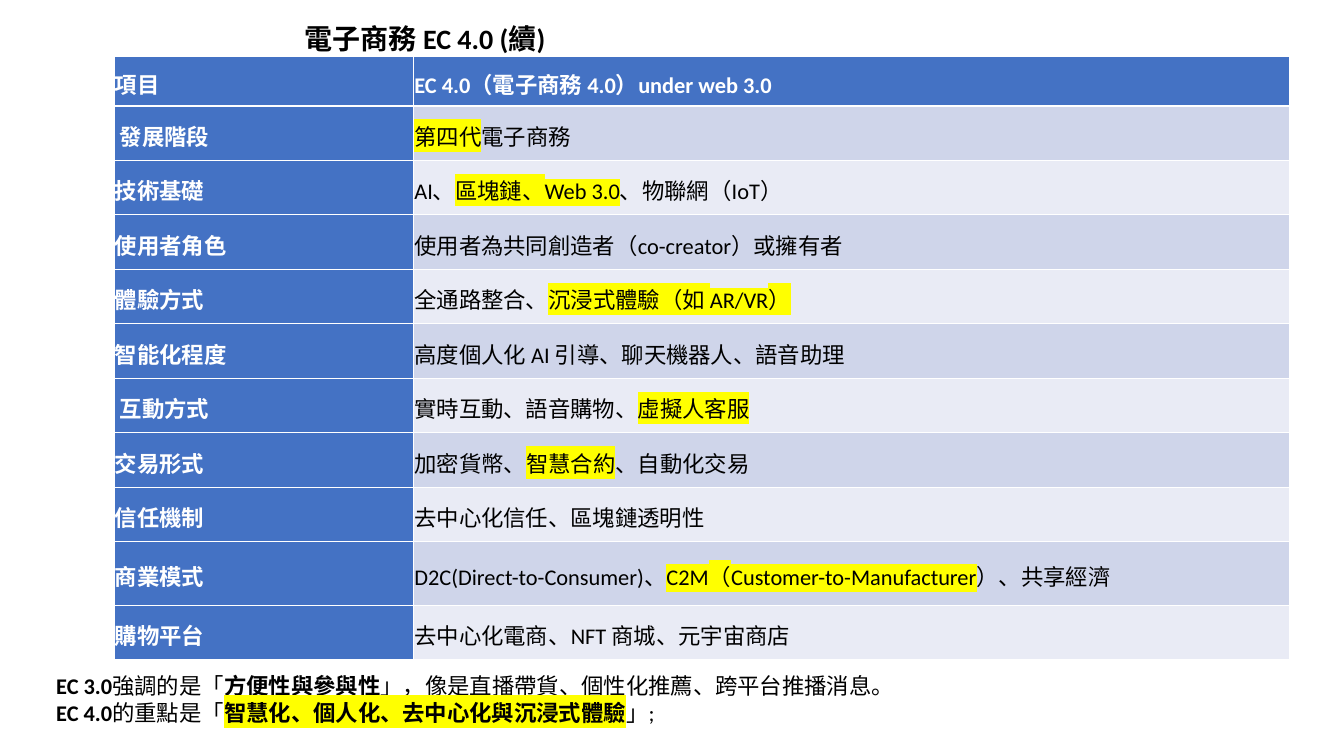
from lxml import etree
from pptx import Presentation
from pptx.dml.color import RGBColor
from pptx.enum.text import MSO_ANCHOR, MSO_AUTO_SIZE, PP_ALIGN
from pptx.oxml.ns import qn
from pptx.util import Inches, Pt

MIDDLE, LEFT, FIXED = MSO_ANCHOR.MIDDLE, PP_ALIGN.LEFT, MSO_AUTO_SIZE.NONE
COLORS = {"head": "4472C4", "odd": "CFD5EA", "even": "E9EBF5",
          "white": "FFFFFF", "black": "000000", "mark": "FFFF00"}
WIDTH, HEIGHT = Inches(13.33), Inches(7.5)

# Bars split a text into plain and marked parts in turn
TOPICS = [
    ("項目", "EC 4.0（電子商務 4.0）under web 3.0"),
    ("發展階段", "|第四代|電子商務"),
    ("技術基礎", "AI、|區塊鏈、Web 3.0|、物聯網（IoT）"),
    ("使用者角色", "使用者為共同創造者（co-creator）或擁有者"),
    ("體驗方式", "全通路整合、|沉浸式體驗（如 AR/VR）"),
    ("智能化程度", "高度個人化 AI 引導、聊天機器人、語音助理"),
    ("互動方式", "實時互動、語音購物、|虛擬人客服"),
    ("交易形式", "加密貨幣、|智慧合約|、自動化交易"),
    ("信任機制", "去中心化信任、區塊鏈透明性"),
    ("商業模式", "D2C(Direct-to-Consumer)、|C2M（Customer-to-Manufacturer|）、共享經濟"),
    ("購物平台", "去中心化電商、NFT 商城、元宇宙商店"),
]
INDENTED = {"發展階段", "互動方式"}
ROWS = [49] + [54] * 8 + [63, 54]
COLS = [297, 869]

# Bars split a note into bold and regular parts in turn
NOTES = [
    "EC 3.0|強調的是「|方便性與參與性|」，像是直播帶貨、個性化推薦、跨平台推播消息。",
    "EC 4.0|的重點是「|智慧化、個人化、去中心化與沉浸式體驗|」;",
]
KEY = "智慧化、個人化、去中心化與沉浸式體驗"


def color(name):
    return RGBColor.from_string(COLORS[name])


def area(left, top, width, height):
    """Turn percentages of the slide into a box."""
    return [int(side * share / 100) for side, share in
            zip((WIDTH, HEIGHT) * 2, (left, top, width, height))]


def style(para, size, ink, bold):
    font = para.font
    font.name, font.size, font.bold = "Calibri", Pt(size), bold
    font.color.rgb = color(ink)


def mark(run):
    light = etree.SubElement(run.font._element, qn("a:highlight"))
    etree.SubElement(light, qn("a:srgbClr"), val=COLORS["mark"])


def add_title(slide, box):
    title = slide.shapes.title
    title.left, title.top, title.width, title.height = box
    frame = title.text_frame
    frame.text = "電子商務 EC 4.0 (續)"
    frame.auto_size, frame.vertical_anchor = FIXED, MIDDLE
    para = frame.paragraphs[0]
    para.alignment, para.line_spacing = LEFT, 0.9
    style(para, 20, "black", True)


def fill_cell(cell, text, fill, head):
    cell.fill.solid()
    cell.fill.fore_color.rgb = color(fill)
    cell.vertical_anchor = MIDDLE
    cell.margin_right = cell.margin_top = cell.margin_bottom = Inches(0.01)
    cell.margin_left = Inches(0.06 if text in INDENTED else 0.01)
    para = cell.text_frame.paragraphs[0]
    para.line_spacing, para.space_after = 1.15, Pt(8)
    style(para, 16, "white" if head else "black", head)
    for i, part in enumerate(text.split("|")):
        if part:
            run = para.add_run()
            run.text = part
            run.font.bold = head
            if i % 2:
                mark(run)


def add_topics(slide, box):
    table = slide.shapes.add_table(len(ROWS), len(COLS), *box).table
    table.first_col = True
    for col, share in zip(table.columns, COLS):
        col.width = int(box[2] * share / sum(COLS))
    for row, share in zip(table.rows, ROWS):
        row.height = int(box[3] * share / sum(ROWS))
    for r, texts in enumerate(TOPICS):
        for c, text in enumerate(texts):
            head = r == 0 or c == 0
            fill = "head" if head else "odd" if r % 2 else "even"
            fill_cell(table.cell(r, c), text, fill, head)


def add_notes(slide, box):
    frame = slide.shapes.add_textbox(*box).text_frame
    frame.word_wrap = True
    for n, note in enumerate(NOTES):
        para = frame.add_paragraph() if n else frame.paragraphs[0]
        style(para, 16, "black", False)
        for i, part in enumerate(note.split("|")):
            run = para.add_run()
            run.text = part
            run.font.bold = i % 2 == 0
            if part == KEY:
                mark(run)


def main():
    deck = Presentation()
    deck.slide_width, deck.slide_height = WIDTH, HEIGHT
    slide = deck.slides.add_slide(deck.slide_layouts[5])
    add_title(slide, area(21.9, 0.4, 63.7, 9.87))
    add_topics(slide, area(8.48, 7.47, 87.47, 79.87))
    add_notes(slide, area(3.45, 88.27, 95.8, 8.53))
    deck.save("out.pptx")


if __name__ == "__main__":
    main()
